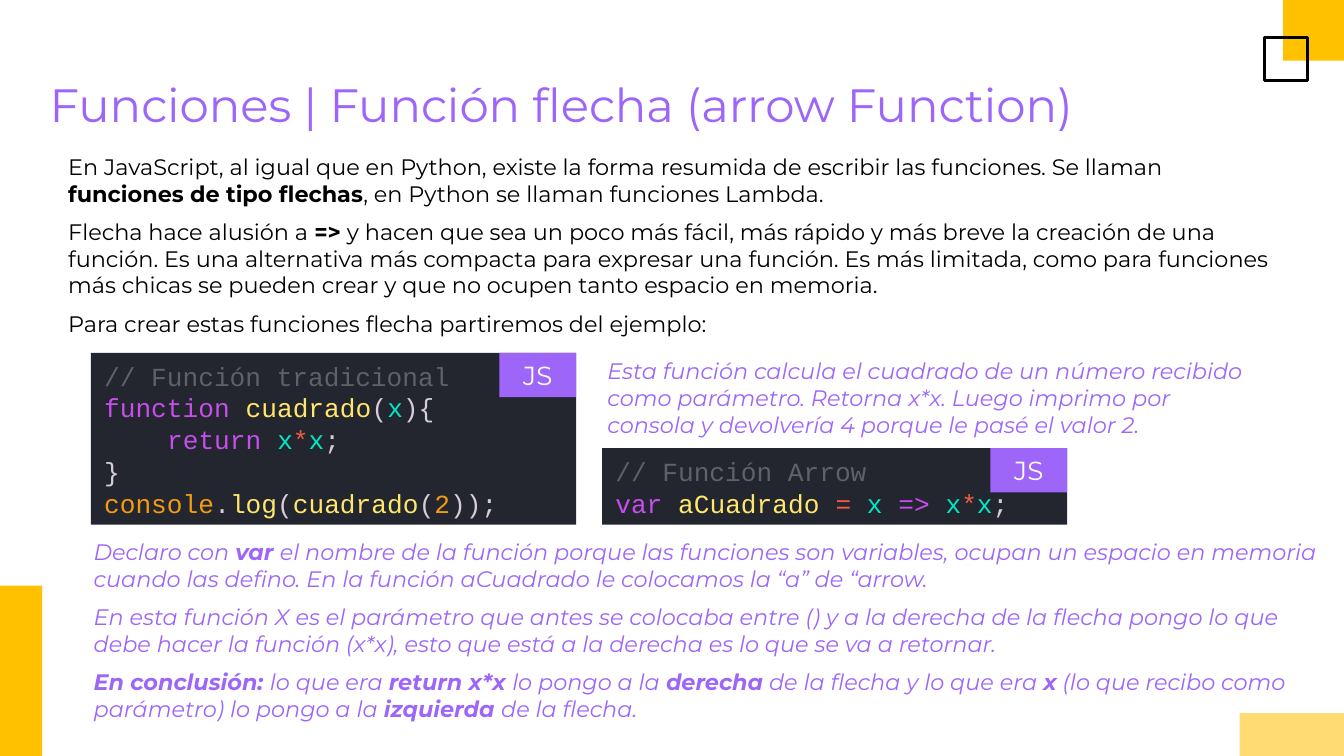
from pptx import Presentation
from pptx.dml.color import RGBColor
from pptx.enum.shapes import MSO_SHAPE
from pptx.enum.text import MSO_ANCHOR, MSO_AUTO_SIZE, PP_ALIGN
from pptx.util import Cm, Pt

PURPLE, AMBER, PALE_AMBER = "9D66F9", "FFC100", "FFDB71"
BLACK, WHITE, PANEL = "000000", "FFFFFF", "23262E"

# Syntax colours of the code panels
COMMENT, KEYWORD, NAME, PLAIN = "5F6167", "C74DED", "FFE66D", "D5CED9"
VARIABLE, OPERATOR, VALUE = "00E8C6", "EE5D43", "F39C12"
SQUARE = [("x", VARIABLE), ("*", OPERATOR), ("x", VARIABLE), (";", PLAIN)]


def rgb(value):
    return RGBColor.from_string(value)


def add_run(paragraph, text, font="Montserrat", size=12, color=BLACK,
            bold=False, italic=False):
    run = paragraph.add_run()
    run.text = text
    run.font.name = font
    run.font.size = Pt(size)
    run.font.color.rgb = rgb(color)
    run.font.bold = bold
    run.font.italic = italic


class SlideBuilder:
    def __init__(self, presentation):
        self.slide = presentation.slides.add_slide(presentation.slide_layouts[5])

    def frame(self, shape, margin_y=0.25, anchor=MSO_ANCHOR.TOP):
        frame = shape.text_frame
        frame.word_wrap = True
        frame.auto_size = MSO_AUTO_SIZE.NONE
        frame.vertical_anchor = anchor
        frame.margin_left = frame.margin_right = Cm(0.25)
        frame.margin_top = frame.margin_bottom = Cm(margin_y)
        return frame

    def title(self, text, left, top, width, height):
        title = self.slide.shapes.title
        title.left, title.top = Cm(left), Cm(top)
        title.width, title.height = Cm(width), Cm(height)
        paragraph = self.frame(title).paragraphs[0]
        paragraph.alignment = PP_ALIGN.LEFT
        add_run(paragraph, text, size=25, color=PURPLE)

    def box(self, left, top, width, height, fill=None, line=None):
        box = self.slide.shapes.add_shape(
            MSO_SHAPE.RECTANGLE, Cm(left), Cm(top), Cm(width), Cm(height))
        box.shadow.inherit = False
        if fill:
            box.fill.solid()
            box.fill.fore_color.rgb = rgb(fill)
        else:
            box.fill.background()
        if line:
            box.line.color.rgb = rgb(line)
            box.line.width = Pt(1.5)
        else:
            box.line.fill.background()
        return box

    def prose(self, texts, left, top, width, height, **style):
        """Write paragraphs; the parts between double asterisks are bold."""
        frame = self.frame(self.slide.shapes.add_textbox(
            Cm(left), Cm(top), Cm(width), Cm(height)))
        for index, text in enumerate(texts):
            paragraph = frame.add_paragraph() if index else frame.paragraphs[0]
            paragraph.space_before = Pt(6 if index else 0)
            for part, words in enumerate(text.split("**")):
                if words:
                    add_run(paragraph, words, bold=part % 2 == 1, **style)

    def code(self, lines, left, top, width, height, indented=()):
        """Draw a code panel with its language badge in the top right corner."""
        frame = self.frame(self.box(left, top, width, height, PANEL), 0.13)
        for index, line in enumerate(lines):
            paragraph = frame.add_paragraph() if index else frame.paragraphs[0]
            paragraph.alignment = PP_ALIGN.LEFT
            paragraph.line_spacing = Pt(17)
            if index in indented:
                paragraph._p.get_or_add_pPr().set("marL", str(Cm(1.19)))
            for text, color in line:
                add_run(paragraph, text, font="Courier New", size=14, color=color)
        badge_width = 1.45
        badge = self.box(left + width - badge_width, top, badge_width, 0.84, PURPLE)
        paragraph = self.frame(badge, anchor=MSO_ANCHOR.MIDDLE).paragraphs[0]
        paragraph.alignment = PP_ALIGN.CENTER
        add_run(paragraph, "JS", size=14, color=WHITE)


def main():
    presentation = Presentation()
    presentation.slide_width, presentation.slide_height = Cm(25.4), Cm(14.29)
    page = SlideBuilder(presentation)

    # Corner decoration
    page.box(24.25, 0, 1.15, 1.15, AMBER)
    page.box(0, 11.07, 0.8, 3.22, AMBER)
    page.box(23.9, 0.71, 0.81, 0.81, line=BLACK)
    page.box(23.43, 13.48, 1.97, 0.81, PALE_AMBER)

    # Title and introduction
    page.title("Funciones | Función flecha (arrow Function)", 0.69, 1.19, 24.05, 1.6)
    page.prose([
        "En JavaScript, al igual que en Python, existe la forma resumida de escribir "
        "las funciones. Se llaman **funciones de tipo flechas**, en Python se llaman "
        "funciones Lambda.",
        "Flecha hace alusión a **=>** y hacen que sea un poco más fácil, más rápido y "
        "más breve la creación de una función. Es una alternativa más compacta para "
        "expresar una función. Es más limitada, como para funciones más chicas se "
        "pueden crear y que no ocupen tanto espacio en memoria.",
        "Para crear estas funciones flecha partiremos del ejemplo:",
    ], 1.04, 2.64, 23.5, 3.86)

    # Traditional function
    page.code([
        [("// Función tradicional", COMMENT)],
        [("function ", KEYWORD), ("cuadrado", NAME), ("(", PLAIN),
         ("x", VARIABLE), ("){", PLAIN)],
        [("return ", KEYWORD)] + SQUARE,
        [("}", PLAIN)],
        [("console", VALUE), (".", PLAIN), ("log", NAME), ("(", PLAIN),
         ("cuadrado", NAME), ("(", PLAIN), ("2", VALUE), ("));", PLAIN)],
    ], 1.72, 6.67, 9.17, 3.25, indented=[2])
    page.prose([
        "Esta función calcula el cuadrado de un número recibido como parámetro. "
        "Retorna x*x. Luego imprimo por consola y devolvería 4 porque le pasé el "
        "valor 2.",
    ], 11.23, 6.5, 12.78, 1.8, color=PURPLE, italic=True)

    # Arrow function
    page.code([
        [("// Función Arrow", COMMENT)],
        [("var ", KEYWORD), ("aCuadrado ", NAME), ("= ", OPERATOR),
         ("x ", VARIABLE), ("=> ", KEYWORD)] + SQUARE,
    ], 11.38, 8.47, 8.79, 1.45)

    # Explanation
    page.prose([
        "Declaro con **var **el nombre de la función porque las funciones son "
        "variables, ocupan un espacio en memoria cuando las defino. En la función "
        "aCuadrado le colocamos la “a” de “arrow.",
        "En esta función X es el parámetro que antes se colocaba entre () y a la "
        "derecha de la flecha pongo lo que debe hacer la función (x*x), esto que está "
        "a la derecha es lo que se va a retornar.",
        "**En conclusión: **lo que era **return x*x **lo pongo a la **derecha** de la "
        "flecha y lo que era **x** (lo que recibo como parámetro) lo pongo a la "
        "**izquierda **de la flecha.",
    ], 1.52, 9.93, 23.88, 3.84, color=PURPLE, italic=True)

    presentation.save("out.pptx")


if __name__ == "__main__":
    main()
